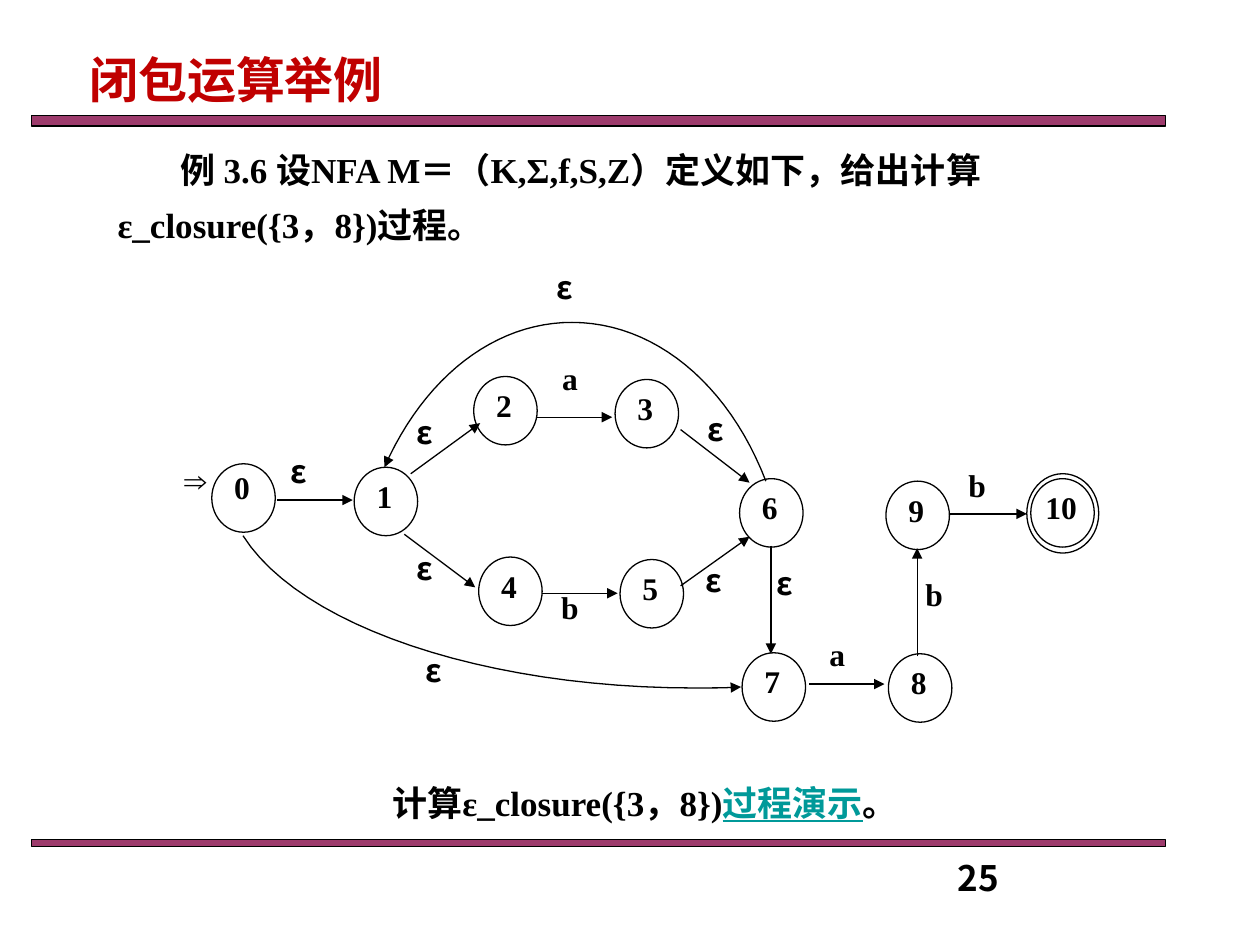
from lxml.etree import SubElement
from pptx import Presentation
from pptx.dml.color import RGBColor
from pptx.enum.shapes import MSO_CONNECTOR, MSO_SHAPE
from pptx.enum.text import PP_ALIGN
from pptx.oxml.ns import qn
from pptx.util import Cm, Pt

SERIF, SANS = "Times New Roman", "Noto Sans CJK SC"
BLACK, WHITE, RED, TEAL, PLUM = "000000", "FFFFFF", "C00000", "009999", "993366"
WIDE, TALL = 1.28, 1.38  # size of a state

# state: left, top
STATES = {
    "0": (4.27, 9.35), "1": (7.14, 9.42), "2": (9.55, 7.59), "3": (12.4, 7.65),
    "4": (9.65, 11.23), "5": (12.5, 11.28), "6": (14.91, 9.65),
    "7": (14.96, 13.16), "8": (17.91, 13.18), "9": (17.86, 9.7),
    "10": (20.78, 9.65),
}
# start x, start y, end x, end y
EDGES = [
    (5.59, 10.08, 7.11, 10.08), (8.28, 9.55, 9.68, 8.53),
    (8.15, 10.77, 9.58, 11.84), (10.82, 8.41, 12.34, 8.41),
    (10.92, 11.96, 12.45, 11.96), (13.72, 8.66, 15.11, 9.73),
    (13.72, 11.81, 15.11, 10.82), (15.54, 11, 15.54, 13.18),
    (16.31, 13.79, 17.83, 13.79), (18.49, 13.23, 18.49, 11.05),
    (19.15, 10.36, 20.7, 10.36),
]
# symbol: left, top of each label
LABELS = {
    "ε": [(5.46, 8.99), (7.99, 8.2), (7.99, 10.95), (15.25, 11.25),
          (13.86, 8.15), (13.81, 11.18), (8.18, 13), (10.82, 5.28)],
    "a": [(10.92, 7.11), (16.31, 12.67)],
    "b": [(18.26, 11.46), (19.13, 9.27), (10.92, 11.73)],
}
# each curve: a start point, then three points per Bezier piece
CURVES = [
    [(4.9, 10.8), (6.05, 12.62), (9.75, 13.87), (14, 13.87),
     (14.32, 13.87), (14.64, 13.87), (14.94, 13.85)],
    [(15.44, 9.7), (14.68, 7.72), (13.18, 6.5), (11.53, 6.5),
     (9.98, 6.5), (8.56, 7.59), (7.75, 9.42)],
]


def tint(code):
    return RGBColor.from_string(code)


def trace(knots, steps=24):
    """Return points along a chain of cubic Bezier pieces."""
    dots = [knots[0]]
    for i in range(0, len(knots) - 1, 3):
        for k in range(1, steps + 1):
            t = k / steps
            u = 1 - t
            mix = (u**3, 3 * u * u * t, 3 * u * t * t, t**3)
            dots.append(tuple(sum(m * p[axis] for m, p in zip(mix, knots[i:i + 4]))
                              for axis in (0, 1)))
    return dots


class Board:
    def __init__(self, slide):
        self.slide = slide
        self.shapes = slide.shapes
        self.pen = Pt(0.75)

    def ink(self, item, arrow=False):
        item.line.color.rgb = tint(BLACK)
        item.line.width = self.pen
        if arrow:
            SubElement(item.line._get_or_add_ln(), qn("a:tailEnd"), type="triangle")

    def shape(self, kind, left, top, wide, tall, fill=None):
        item = self.shapes.add_shape(kind, Cm(left), Cm(top), Cm(wide), Cm(tall))
        item.shadow.inherit = False
        self.ink(item)
        if fill:
            item.fill.solid()
            item.fill.fore_color.rgb = tint(fill)
        else:
            item.fill.background()
        return item

    def bar(self, top, tall):
        item = self.shape(MSO_SHAPE.RECTANGLE, 0.64, top, 22.86, tall, PLUM)
        code = item.fill._xPr.find(".//" + qn("a:srgbClr"))
        SubElement(code, qn("a:alpha"), val="96000")

    def text(self, left, top, wide, tall, runs, size=18, font=SERIF,
             align=PP_ALIGN.LEFT, space=1, indent=0):
        """Add a text box; runs are (words, colour, underline)."""
        box = self.shapes.add_textbox(Cm(left), Cm(top), Cm(wide), Cm(tall))
        box.text_frame.word_wrap = True
        para = box.text_frame.paragraphs[0]
        para.alignment = align
        para.line_spacing = space
        if indent:
            para._p.get_or_add_pPr().set("indent", str(Cm(indent)))
        for words, code, under in runs:
            run = para.add_run()
            run.text = words
            run.font.name = font
            run.font.size = Pt(size)
            run.font.bold = True
            run.font.underline = under
            run.font.color.rgb = tint(code)
            SubElement(run.font._element, qn("a:ea"), typeface=SANS)

    def label(self, left, top, words, wide=1.14, font=SERIF):
        self.text(left, top, wide, 1.35, [(words, BLACK, False)],
                  font=font, align=PP_ALIGN.CENTER)

    def state(self, name, left, top):
        self.shape(MSO_SHAPE.OVAL, left, top, WIDE, TALL, WHITE)
        wide = 1.14 if len(name) == 1 else 1.52
        drop = -0.03 if name == "0" else 0.07
        self.label(left + (WIDE - wide) / 2 - 0.03, top + drop, name, wide)

    def edge(self, x1, y1, x2, y2):
        item = self.shapes.add_connector(
            MSO_CONNECTOR.STRAIGHT, Cm(x1), Cm(y1), Cm(x2), Cm(y2))
        self.ink(item, arrow=True)
        SubElement(item._element.spPr, qn("a:effectLst"))

    def curve(self, knots):
        dots = [(Cm(x), Cm(y)) for x, y in trace(knots)]
        path = self.shapes.build_freeform(*dots[0])
        path.add_line_segments(dots[1:], close=False)
        item = path.convert_to_shape()
        item.shadow.inherit = False
        item.fill.background()
        self.ink(item, arrow=True)


def main():
    deck = Presentation()
    deck.slide_width, deck.slide_height = Cm(25.4), Cm(19.05)
    board = Board(deck.slides.add_slide(deck.slide_layouts[6]))

    board.bar(2.33, 0.21)
    board.bar(16.93, 0.13)
    board.text(-0.2, 0.64, 22.02, 1.5, [("闭包运算举例", RED, False)], size=28,
               font=SANS, align=PP_ALIGN.JUSTIFY, space=1.2, indent=1.75)
    board.text(2.12, 2.62, 21.17, 2.36, [
        ("例 3.6 设NFA M＝（K,Σ,f,S,Z）定义如下，给出计算ε_closure({3，8})过程。",
         BLACK, False)], size=20, space=1.3, indent=1.27)

    for name, spot in STATES.items():
        board.state(name, *spot)
    board.shape(MSO_SHAPE.OVAL, 20.7, 9.55, 1.45, 1.6)
    board.label(3.18, 9.17, "⇒", wide=1.52)
    for edge in EDGES:
        board.edge(*edge)
    for knots in CURVES:
        board.curve(knots)
    for sign, spots in LABELS.items():
        for spot in spots:
            board.label(*spot, sign, font=SANS if sign == "ε" else SERIF)

    board.text(7.19, 15.62, 11.63, 1.09, [
        ("计算ε_closure({3，8})", BLACK, False), ("过程演示", TEAL, True),
        ("。", BLACK, False)], size=20, align=PP_ALIGN.CENTER)
    board.text(19.05, 17.15, 5.92, 0.69, [("25", BLACK, False)], size=20, font=SANS)
    deck.save("out.pptx")


if __name__ == "__main__":
    main()
